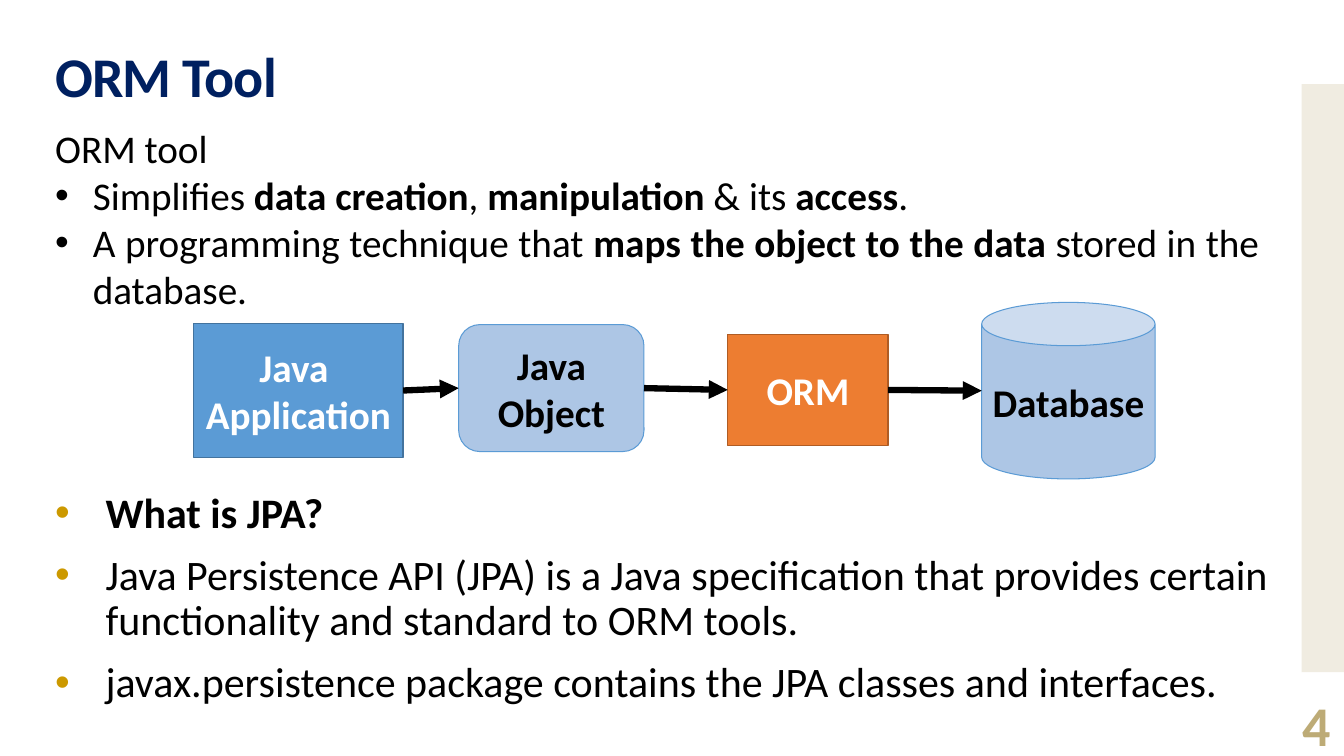
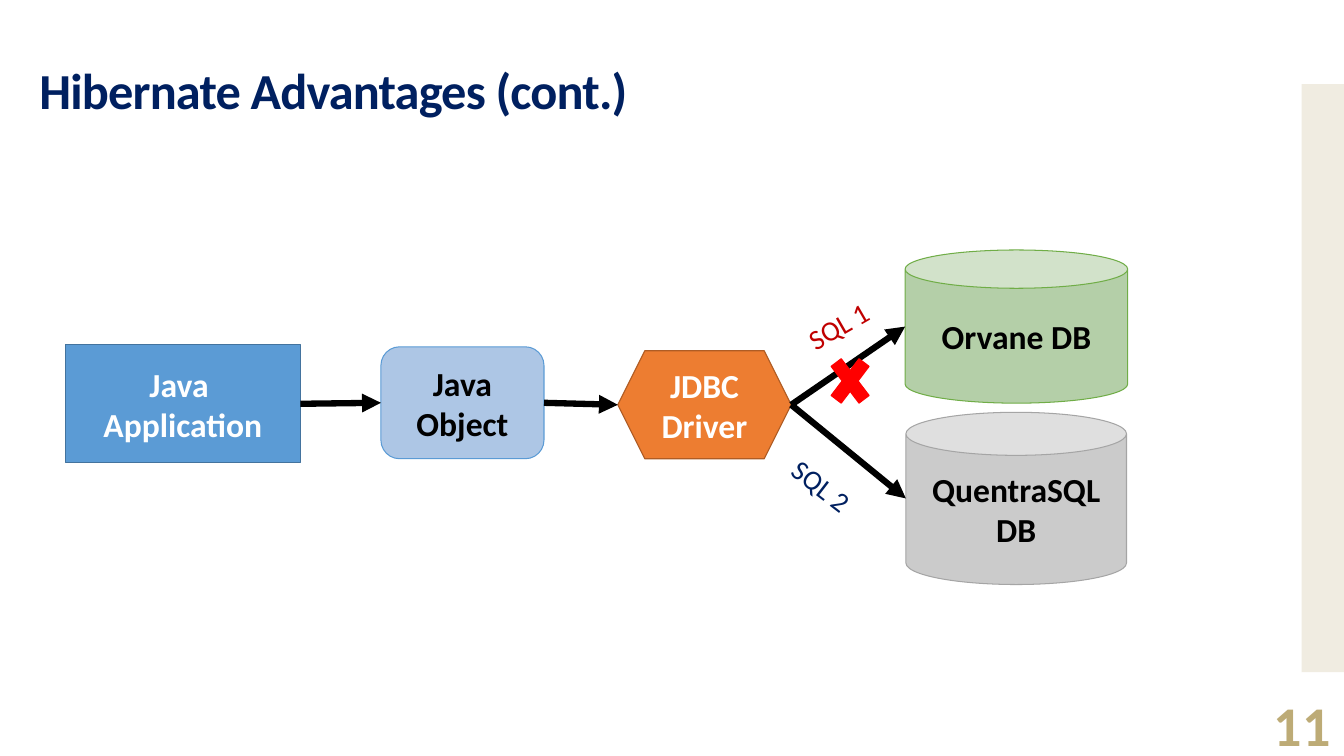
import pptx
import pptx.util
import pptx.dml.color
import pptx.enum.shapes
import pptx.enum.text
import pptx.oxml
import pptx.oxml.ns
import lxml.etree

Cm, Pt = pptx.util.Cm, pptx.util.Pt
Kind = pptx.enum.shapes.MSO_SHAPE
Align = pptx.enum.text.PP_ALIGN
Anchor = pptx.enum.text.MSO_ANCHOR
Fit = pptx.enum.text.MSO_AUTO_SIZE


class Theme:
    font = "Calibri"
    navy, black, white = "002060", "000000", "FFFFFF"
    sand, tan, gold = "E2DAC4", "BDAB76", "CC9900"
    red, wine = "FF0000", "C00000"
    # Node looks: fill, line, line width, text colour
    blue = ("5B9BD5", "43739E", 0.85, white)
    pale = ("ADC6E5", "5B9BD5", 0.75, black)
    orange = ("ED7D31", "AF5C24", 0.85, white)
    green = ("B4CFA8", "70AD47", 0.75, black)
    grey = ("CBCBCB", "A5A5A5", 0.75, black)
    head, sub, body, lead, node, tag = 40, 36, 30, 28, 24, 20


def rgb(code):
    return pptx.dml.color.RGBColor.from_string(code)


def apply(obj, fmt):
    for name, value in fmt.items():
        setattr(obj, name, value)


def child(parent, tag, **attrs):
    node = lxml.etree.SubElement(parent, pptx.oxml.ns.qn(tag))
    for name, value in attrs.items():
        node.set(name, str(value))
    return node


class Deck:
    def __init__(self):
        self.prs = pptx.Presentation()
        apply(self.prs, {"slide_width": Cm(33.87), "slide_height": Cm(19.05)})
        self.slide = None

    def page(self, title, box, size, number):
        """Start a slide with its title, side band and number."""
        self.slide = self.prs.slides.add_slide(self.prs.slide_layouts[5])
        head = self.slide.shapes.title
        names = ("left", "top", "width", "height")
        apply(head, dict(zip(names, map(Cm, box))))
        self.letter(head, [title], size, Theme.navy, bold=True,
                    para={"alignment": Align.LEFT, "line_spacing": 0.9})
        for run in head.text_frame.paragraphs[0].runs:
            run._r.get_or_add_rPr().set("spc", "-60")
        band = self.shape(Kind.RECTANGLE, (32.8, 2.12, 1.07, 14.82), Theme.sand)
        tint = band._element.spPr.find(".//" + pptx.oxml.ns.qn("a:srgbClr"))
        child(tint, "a:alpha", val=50000)
        self.text([str(number)], (29.54, 17.42, 4.24, 1.63), Theme.head,
                  Theme.tan, bold=True, anchor=Anchor.MIDDLE,
                  para={"alignment": Align.RIGHT})

    def letter(self, shape, lines, size, color, bold=False,
               anchor=Anchor.MIDDLE, para=None):
        """Fill a shape with paragraphs; asterisks switch bold."""
        frame = shape.text_frame
        apply(frame, {"word_wrap": True, "auto_size": Fit.NONE,
                      "vertical_anchor": anchor})
        for i, line in enumerate(lines):
            par = frame.add_paragraph() if i else frame.paragraphs[0]
            apply(par, para or {})
            for j, part in enumerate(line.split("*")):
                if part:
                    run = par.add_run()
                    run.text = part
                    apply(run.font, {"name": Theme.font, "size": Pt(size),
                                     "bold": bold or j % 2 == 1})
                    run.font.color.rgb = rgb(color)

    def text(self, lines, box, size, color, turn=0, **fmt):
        label = self.slide.shapes.add_textbox(*map(Cm, box))
        label.rotation = turn
        self.letter(label, lines, size, color, **fmt)
        return label

    def bullet(self, pars, indent, color=None):
        for par in pars:
            props = par._p.get_or_add_pPr()
            props.set("marL", str(Cm(indent)))
            props.set("indent", str(-Cm(indent)))
            if color:
                child(child(props, "a:buClr"), "a:srgbClr", val=color)
            child(props, "a:buFont", typeface="Arial")
            child(props, "a:buChar", char="•")

    def shape(self, kind, box, fill, line=None, width=0.85):
        item = self.slide.shapes.add_shape(kind, *map(Cm, box))
        item.shadow.inherit = False
        item.fill.solid()
        item.fill.fore_color.rgb = rgb(fill)
        if line:
            item.line.color.rgb = rgb(line)
            item.line.width = Pt(width)
        else:
            item.line.fill.background()
        return item

    def node(self, kind, box, look, lines, size):
        item = self.shape(kind, box, *look[:3])
        apply(item.text_frame, {"margin_left": Cm(0.2), "margin_right": Cm(0.2)})
        self.letter(item, lines, size, look[3], bold=True,
                    para={"alignment": Align.CENTER})
        return item

    def arrow(self, tail, head):
        """Run from the right side of one node to the left of the next."""
        line = self.slide.shapes.add_connector(
            pptx.enum.shapes.MSO_CONNECTOR.STRAIGHT,
            tail.left + tail.width, tail.top + tail.height // 2,
            head.left, head.top + head.height // 2)
        boxes = (Kind.RECTANGLE, Kind.FLOWCHART_ALTERNATE_PROCESS)
        if tail.auto_shape_type in boxes:
            line.begin_connect(tail, 3)
        if head.auto_shape_type in boxes:
            line.end_connect(head, 1)
        line.line.color.rgb = rgb(Theme.black)
        line.line.width = Pt(4.5)
        child(line.line._get_or_add_ln(), "a:tailEnd", type="triangle")
        child(line._element.spPr, "a:effectLst")

    def chain(self, nodes):
        for pair in zip(nodes, nodes[1:]):
            self.arrow(*pair)


def tool(deck):
    deck.page("ORM Tool", (1.14, 1.09, 13.67, 1.8), Theme.head, 4)

    # Points above the flow
    intro = deck.text(
        ["ORM tool ",
         "Simplifies *data creation*, *manipulation* & its *access*. ",
         "A programming technique that *maps the object to the data*"
         " stored in the database."],
        (1.14, 3, 30.84, 5.05), Theme.lead, Theme.black, anchor=Anchor.TOP,
        para={"alignment": Align.JUSTIFY})
    deck.bullet(intro.text_frame.paragraphs[1:], 0.95)

    # Points below the flow
    notes = deck.text(
        ["*What is JPA?*",
         "Java Persistence API (JPA) is a Java specification that provides"
         " certain functionality and standard to ORM tools.",
         "javax.persistence package contains the JPA classes and interfaces."],
        (1.14, 12.27, 31.37, 6.35), Theme.body, Theme.black, anchor=Anchor.TOP,
        para={"line_spacing": 0.9, "space_before": Pt(12)})
    deck.bullet(notes.text_frame.paragraphs, 1.27, Theme.gold)

    # Flow from application to database
    flow = [
        (Kind.RECTANGLE, (4.88, 8.15, 5.28, 3.38), Theme.blue,
         ["Java ", "Application"]),
        (Kind.FLOWCHART_ALTERNATE_PROCESS, (11.56, 8.18, 4.67, 3.2),
         Theme.pale, ["Java Object"]),
        (Kind.RECTANGLE, (18.34, 8.43, 4.04, 2.79), Theme.orange, ["ORM"]),
        (Kind.CAN, (24.74, 7.62, 4.37, 4.45), Theme.pale, ["Database"]),
    ]
    deck.chain([deck.node(*step, Theme.lead) for step in flow])


def gains(deck):
    deck.page("Hibernate Advantages (cont.)", (0.74, 0.76, 31.67, 3.18),
              Theme.sub, 11)

    # Flow from application to the two databases
    flow = [
        (Kind.RECTANGLE, (1.65, 8.69, 5.92, 2.97), Theme.blue,
         ["Java ", "Application"]),
        (Kind.FLOWCHART_ALTERNATE_PROCESS, (9.6, 8.74, 4.11, 2.82),
         Theme.pale, ["Java Object"]),
        (Kind.HEXAGON, (15.57, 8.84, 4.37, 2.72), Theme.orange,
         ["JDBC Driver"]),
        (Kind.CAN, (22.81, 6.3, 5.61, 3.86), Theme.green, ["Orvane DB"]),
        (Kind.CAN, (22.83, 10.39, 5.56, 4.34), Theme.grey,
         ["QuentraSQL", "DB"]),
    ]
    nodes = [deck.node(*step, Theme.node) for step in flow]
    deck.chain(nodes[:4])
    deck.arrow(nodes[2], nodes[4])

    # Branch labels and the cross on the first branch
    tags = [("SQL 1", (19.79, 7.65, 2.67, 1.12), Theme.wine, 330),
            ("SQL 2", (19.25, 11.68, 2.9, 1.12), Theme.navy, 37.6)]
    for word, box, color, turn in tags:
        deck.text([word], box, Theme.tag, color, turn, anchor=Anchor.TOP,
                  para={"alignment": Align.CENTER})
    deck.shape(Kind.MATH_MULTIPLY, (20.75, 8.71, 1.35, 1.78),
               Theme.red, Theme.red)


def main():
    deck = Deck()
    tool(deck)
    gains(deck)
    deck.prs.save("out.pptx")


if __name__ == "__main__":
    main()
